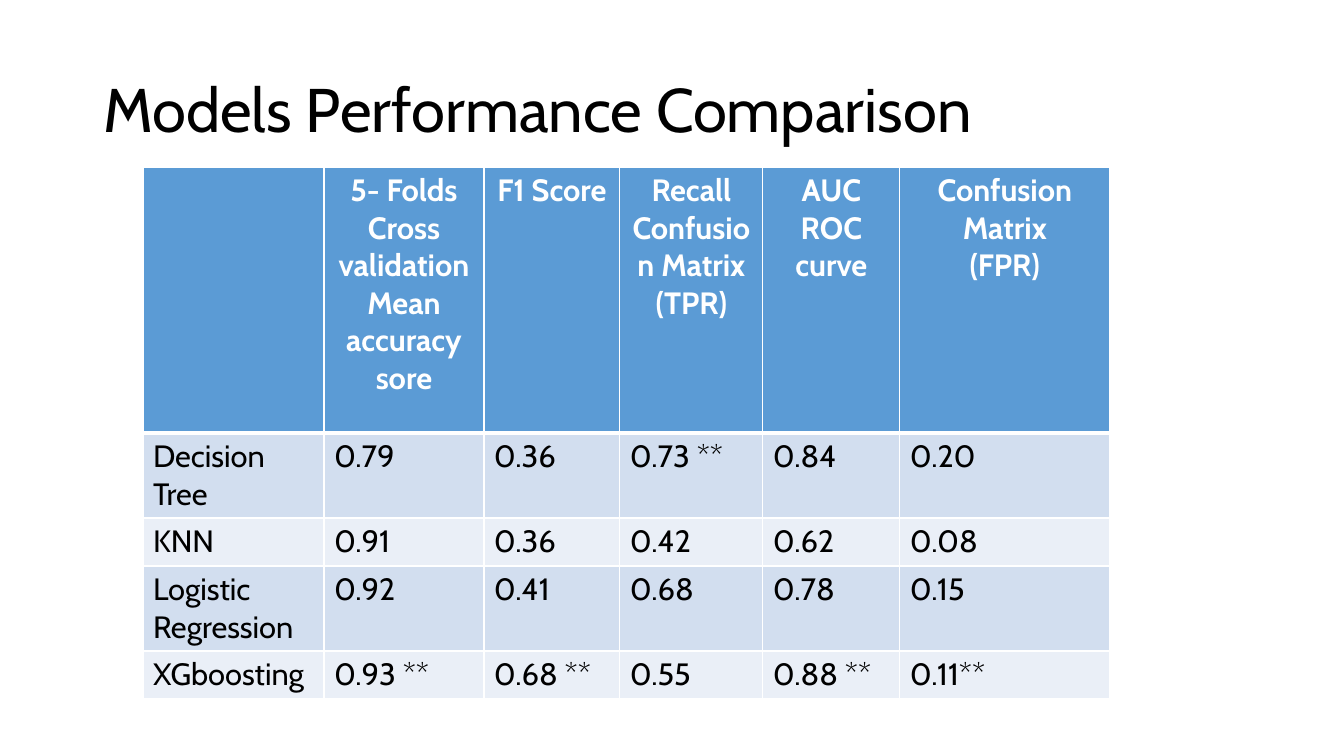
import pptx
import pptx.util
import pptx.dml.color
import pptx.enum.text
import pptx.oxml
import pptx.oxml.ns

# Content
TITLE = "Models Performance Comparison"
HEADERS = [
    "",
    "5- Folds Cross validation Mean accuracy sore",
    "F1 Score",
    "Recall\nConfusion Matrix\n(TPR)",
    "AUC ROC curve",
    "Confusion Matrix\n(FPR)",
]
MODELS = [
    ("Decision Tree", "0.79", "0.36", "0.73 **", "0.84", "0.20"),
    ("KNN", "0.91", "0.36", "0.42", "0.62", "0.08"),
    ("Logistic Regression", "0.92", "0.41", "0.68", "0.78", "0.15"),
    ("XGboosting", "0.93 **", "0.68 **", "0.55", "0.88 **", "0.11**"),
]

# Layout in px
SLIDE = (1344, 756)
TITLE_BOX = (93, 40, 1159, 146)
TABLE_ORIGIN = (143, 167)
COLUMN_WIDTHS = [181, 160, 136, 143, 137, 210]
ROW_HEIGHTS = [266, 85, 48, 85, 48]

COLORS = {
    "header": "5B9BD5",
    "odd": "D2DEEF",
    "even": "EAEFF7",
    "white": "FFFFFF",
    "black": "000000",
}
FONT = "Cabin"
ALIGN = pptx.enum.text.PP_ALIGN


def px(length):
    return pptx.util.Emu(round(length * 914400 / 100.8))


def rgb(name):
    return pptx.dml.color.RGBColor.from_string(COLORS[name])


def write(frame, text, size, color="black", bold=False, align=ALIGN.LEFT, spacing=1.0):
    frame.text = text
    for paragraph in frame.paragraphs:
        paragraph.alignment = align
        paragraph.line_spacing = spacing
        font = paragraph.font
        for run in paragraph.runs:
            font = run.font
        font.name = FONT
        font.size = pptx.util.Pt(size)
        font.bold = bold
        font.color.rgb = rgb(color)


def set_borders(cell, top, bottom):
    properties = cell._tc.get_or_add_tcPr()
    sides = {"L": 1, "R": 1, "T": top, "B": bottom}
    for index, (side, points) in enumerate(sides.items()):
        line = pptx.oxml.parse_xml(
            f'<a:ln{side} {pptx.oxml.ns.nsdecls("a")} w="{pptx.util.Pt(points)}">'
            f'<a:solidFill><a:srgbClr val="{COLORS["white"]}"/></a:solidFill>'
            f"</a:ln{side}>"
        )
        properties.insert(index, line)


def main():
    deck = pptx.Presentation()
    deck.slide_width, deck.slide_height = map(px, SLIDE)
    slide = deck.slides.add_slide(deck.slide_layouts[5])

    # Title
    title = slide.shapes.title
    title.left, title.top, title.width, title.height = map(px, TITLE_BOX)
    title.text_frame.vertical_anchor = pptx.enum.text.MSO_ANCHOR.MIDDLE
    write(title.text_frame, TITLE, 44, spacing=0.9)

    # Comparison table
    rows = [HEADERS, *MODELS]
    comparison = slide.shapes.add_table(
        len(rows), len(HEADERS), *map(px, TABLE_ORIGIN),
        px(sum(COLUMN_WIDTHS)), px(sum(ROW_HEIGHTS)),
    ).table
    for column, width in zip(comparison.columns, COLUMN_WIDTHS):
        column.width = px(width)
    for row, height in zip(comparison.rows, ROW_HEIGHTS):
        row.height = px(height)

    # Cells: header, then alternating bands
    for r, values in enumerate(rows):
        is_header = r == 0
        band = "header" if is_header else ("odd" if r % 2 else "even")
        for c, value in enumerate(values):
            cell = comparison.cell(r, c)
            cell.fill.solid()
            cell.fill.fore_color.rgb = rgb(band)
            set_borders(cell, top=3 if r == 1 else 1, bottom=3 if is_header else 1)
            write(
                cell.text_frame, value, 22,
                color="white" if is_header else "black",
                bold=is_header,
                align=ALIGN.CENTER if is_header else ALIGN.LEFT,
            )

    deck.save("out.pptx")


if __name__ == "__main__":
    main()
